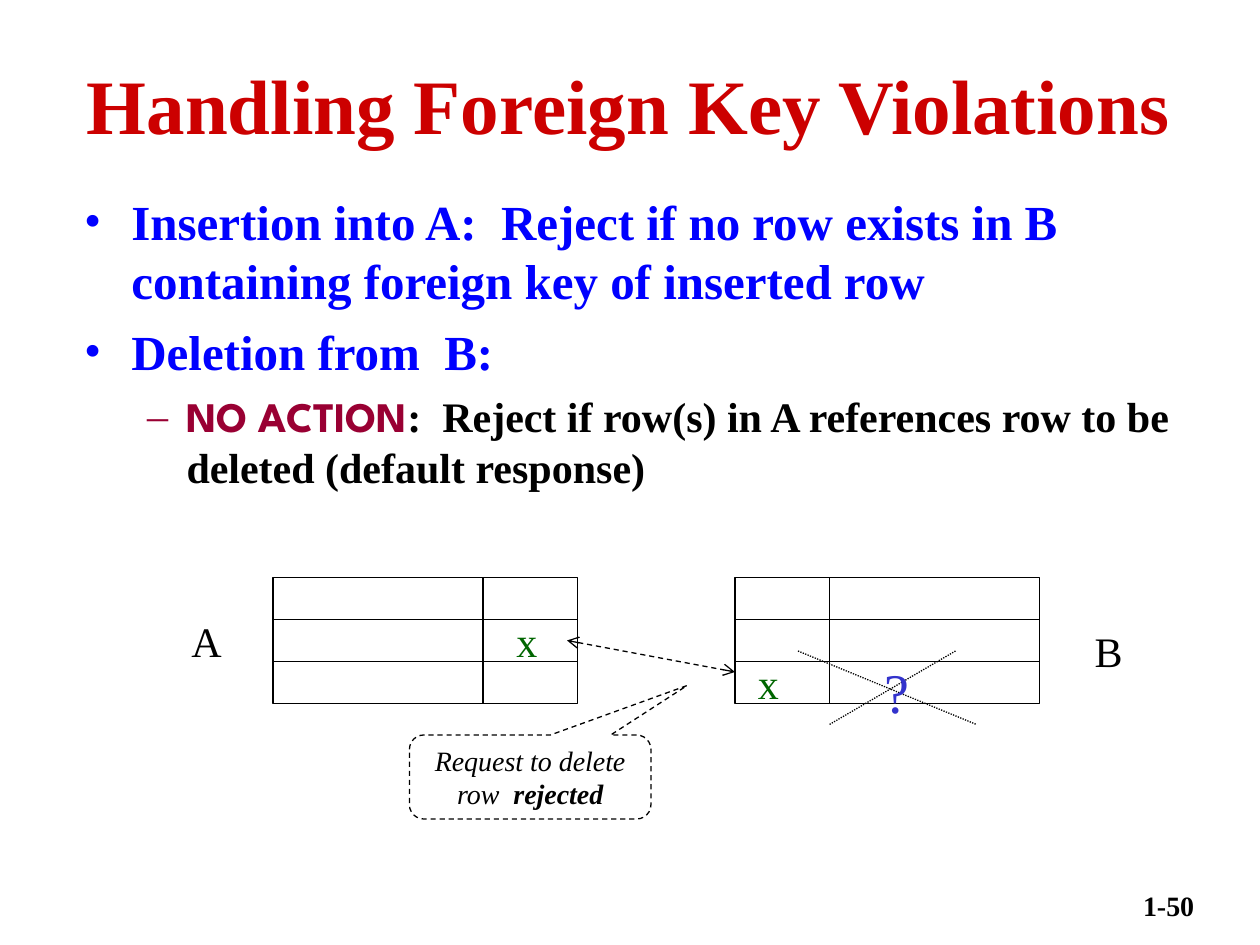
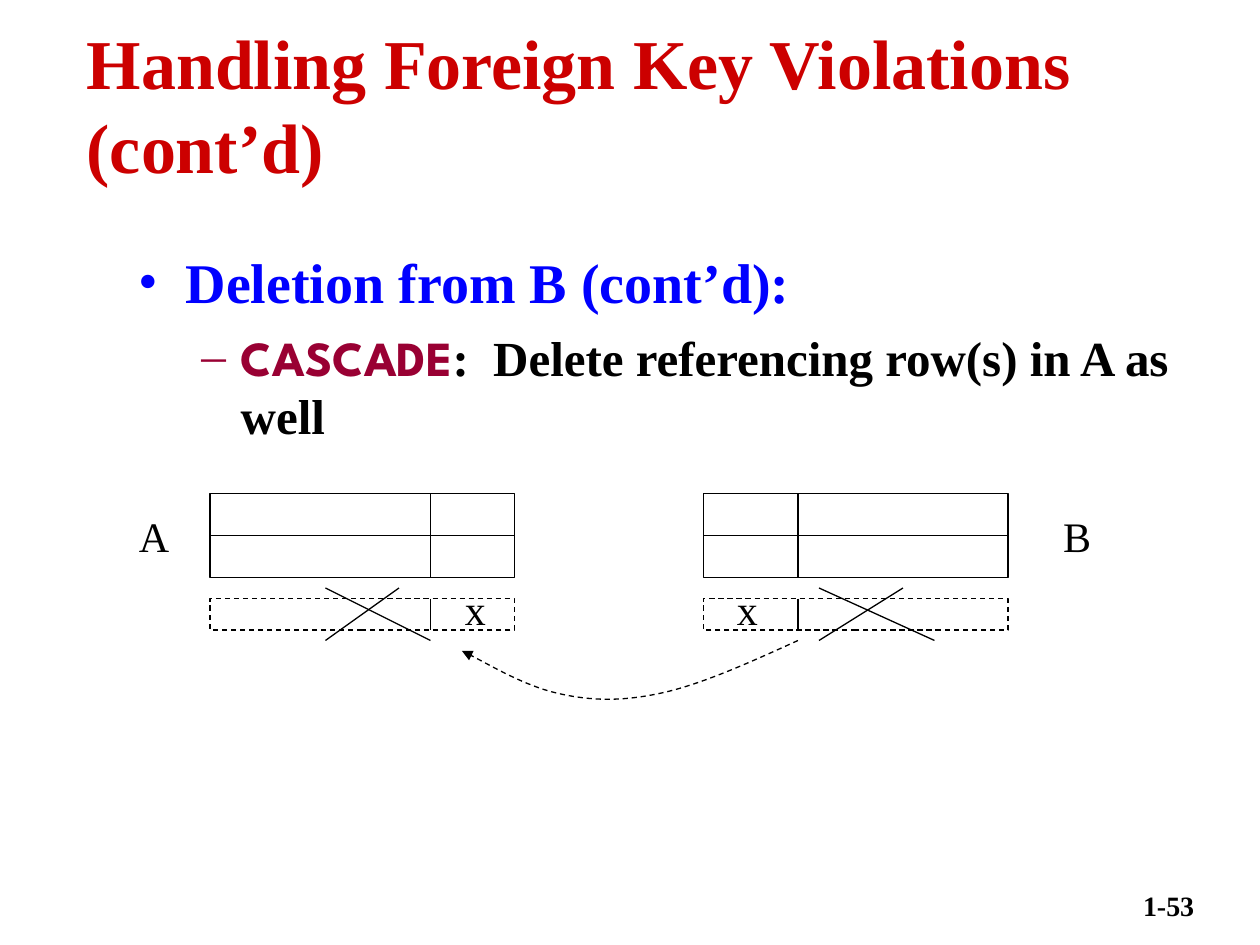
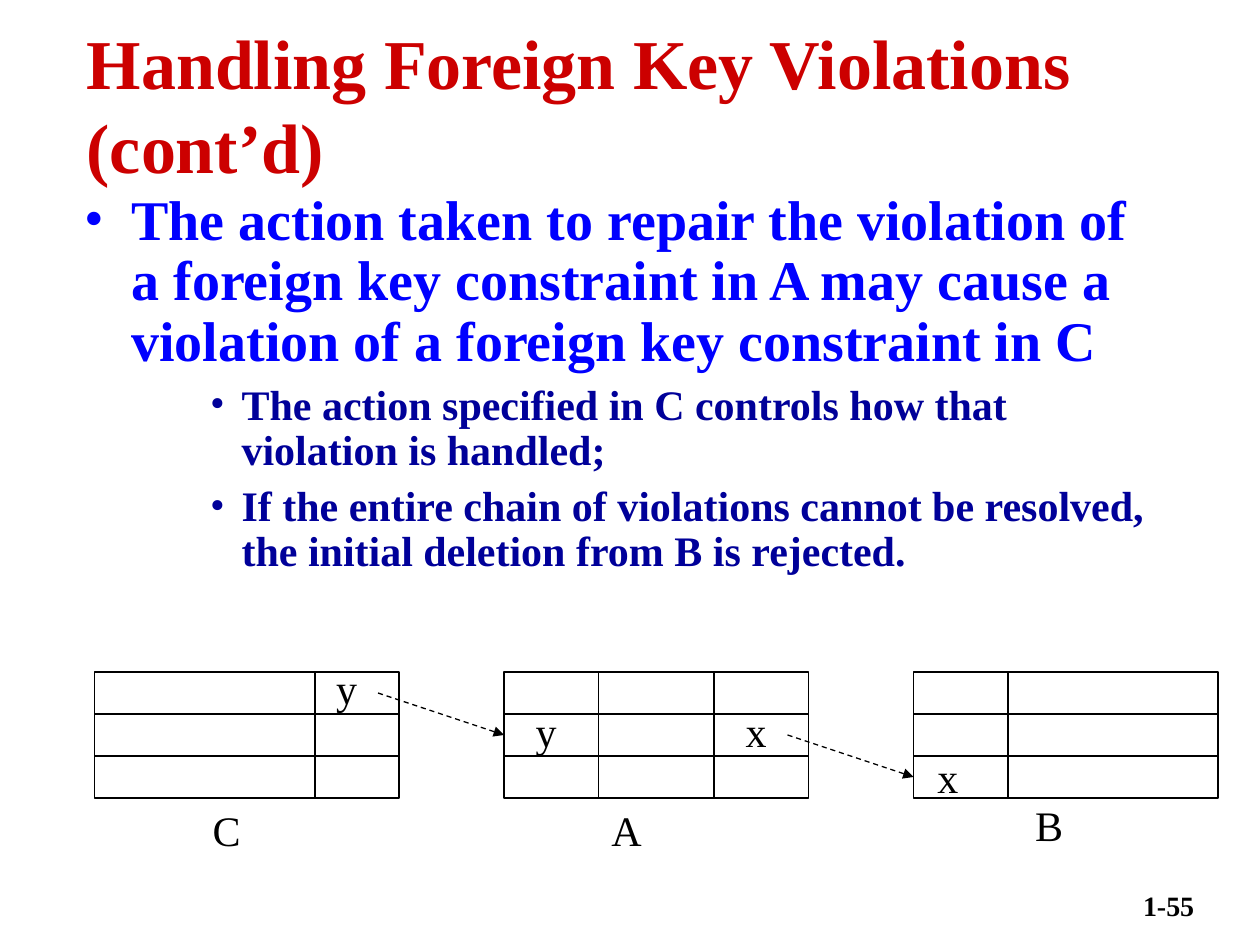
from lxml import etree
from pptx import Presentation
from pptx.dml.color import RGBColor
from pptx.enum.dml import MSO_LINE
from pptx.enum.shapes import MSO_CONNECTOR, MSO_SHAPE
from pptx.enum.text import MSO_ANCHOR, MSO_AUTO_SIZE, PP_ALIGN
from pptx.oxml.ns import qn
from pptx.util import Pt

LEFT, CENTER, RIGHT = PP_ALIGN.LEFT, PP_ALIGN.CENTER, PP_ALIGN.RIGHT
TOP, MIDDLE = MSO_ANCHOR.TOP, MSO_ANCHOR.MIDDLE
FIT_SHAPE = MSO_AUTO_SIZE.SHAPE_TO_FIT_TEXT
DASH, DOT = MSO_LINE.DASH, MSO_LINE.ROUND_DOT
STRAIGHT = MSO_CONNECTOR.STRAIGHT
RECTANGLE = MSO_SHAPE.RECTANGLE
CALLOUT = MSO_SHAPE.ROUNDED_RECTANGULAR_CALLOUT

SERIF, SANS = "Times New Roman", "League Spartan"
BLACK, WHITE, RED, BLUE = "000000", "FFFFFF", "CC0000", "0000FF"
NAVY, MAROON, GREEN, VIOLET = "000099", "990033", "006600", "3333CC"

# Shared places and styles: left, top, width, height
FOOTER_BOX = (620.5, 504, 69, 36)
TABLE_WIDTH, ROW_HEIGHT = 174, 24
MARK_SIZE = 24
MARK_WIDTHS = {"x": 26, "y": 26, "A": 32, "B": 30, "C": 30, "?": 29}
# Bullet levels: margin, indent, bullet, colour
LEVELS = [(27, -27, "•", BLUE), (58.5, -22.5, "–", MAROON), (90, -18, "•", NAVY)]

# Body paragraphs: level, size, space before, [(text, font, colour)]
# Tables: left, top, rows, column dividers from the left edge
# Lines: start, end, dash, arrowhead at start, arrowhead at end
# Marks: text, left, top, size, colour
SLIDES = [
    {
        "title": "Handling Foreign Key Violations",
        "title_size": 44,
        "title_box": (42.5, 38, 641.5, 43),
        "page": "1-50",
        "body_box": (41, 106, 641.5, 214.5),
        "line_spacing": 1.0,
        "body": [
            (0, 28, 0, [("Insertion into A:  Reject if no row exists in B containing "
                         "foreign key of inserted row", SERIF, BLUE)]),
            (0, 28, 7, [("Deletion from  B:", SERIF, BLUE)]),
            (1, 24, 6, [("NO ACTION", SANS, MAROON),
                        (":  Reject if row(s) in A references row to be deleted "
                         "(default response)", SERIF, BLACK)]),
        ],
        "tables": [(156, 330, 3, [120]), (420, 330, 3, [54])],
        "lines": [
            ((324, 366), (420, 384), DASH, "arrow", "arrow"),
            ((456, 372), (558, 414), DOT, None, None),
            ((546, 372), (474, 414), DOT, None, None),
        ],
        "marks": [
            ("x", 288, 348, MARK_SIZE, GREEN), ("x", 426, 372, MARK_SIZE, GREEN),
            ("A", 102, 348, MARK_SIZE, BLACK), ("B", 618.5, 354, MARK_SIZE, BLACK),
            ("?", 498, 372, 32, VIOLET),
        ],
        "callout": ("Request to delete row  ", "rejected"),
    },
    {
        "title": "Handling Foreign Key Violations (cont’d)",
        "title_size": 40,
        "title_box": (42.5, 30, 641.5, 58.5),
        "page": "1-53",
        "body_box": (72, 138, 618, 354),
        "line_spacing": 1.0,
        "body": [
            (0, 32, 0, [("Deletion from B (cont’d):", SERIF, BLUE)]),
            (1, 28, 7, [("CASCADE", SANS, MAROON),
                        (":  Delete referencing row(s) in A as well", SERIF, BLACK)]),
        ],
        "tables": [(120, 282, 2, [126]), (402, 282, 2, [54])],
        "deleted_rows": [(120, 342, [126]), (402, 342, [54])],
        "lines": [
            ((468, 336), (534, 366), None, None, None),
            ((516, 336), (468, 366), None, None, None),
            ((186, 336), (246, 366), None, None, None),
            ((228, 336), (186, 366), None, None, None),
        ],
        "curve": [(456, 366), (428.5, 378.5), (401, 391), (378, 396), (355, 401),
                  (337, 400.5), (318, 396), (299, 391.5), (273, 376), (264, 372)],
        "marks": [
            ("A", 72, 288, MARK_SIZE, BLACK), ("B", 600.5, 288, MARK_SIZE, BLACK),
            ("x", 258.5, 330, MARK_SIZE, BLACK), ("x", 414, 330, MARK_SIZE, BLACK),
        ],
    },
    {
        "title": "Handling Foreign Key Violations (cont’d)",
        "title_size": 40,
        "title_box": (42.5, 30, 641.5, 58.5),
        "page": "1-55",
        "body_box": (41, 106, 628.5, 283.5),
        "line_spacing": 0.9,
        "body": [
            (0, 32, 0, [("The action taken to repair the violation of a foreign key "
                         "constraint in A may cause a violation of a foreign key "
                         "constraint in C", SERIF, BLUE)]),
            (2, 24, 6, [("The action specified in C controls how that violation is "
                         "handled;", SERIF, NAVY)]),
            (2, 24, 6, [("If the entire chain of violations cannot be resolved, the "
                         "initial deletion from B is rejected.", SERIF, NAVY)]),
        ],
        "tables": [(54, 384, 3, [126]), (288, 384, 3, [54, 120]), (522, 384, 3, [54])],
        "lines": [
            ((216, 396), (288, 420), DASH, None, "triangle"),
            ((450, 420), (522, 444), DASH, None, "triangle"),
        ],
        "marks": [
            ("x", 528.5, 426, MARK_SIZE, BLACK), ("x", 419, 399.5, MARK_SIZE, BLACK),
            ("y", 299, 399.5, MARK_SIZE, BLACK), ("y", 185, 375, MARK_SIZE, BLACK),
            ("C", 114.5, 456, MARK_SIZE, BLACK), ("A", 342, 456, MARK_SIZE, BLACK),
            ("B", 584.5, 453.5, MARK_SIZE, BLACK),
        ],
    },
]


def color(hex_code):
    return RGBColor.from_string(hex_code)


def points(*values):
    return [Pt(value) for value in values]


def add_span(para, text, size, hex_code=BLACK, font=SERIF, bold=False, italic=False):
    span = para.add_run()
    span.text = text
    span.font.name, span.font.size = font, Pt(size)
    span.font.bold, span.font.italic = bold, italic
    span.font.color.rgb = color(hex_code)


def add_box(page, place, align=LEFT, anchor=TOP, wrap=True):
    frame = page.shapes.add_textbox(*points(*place)).text_frame
    frame.word_wrap = wrap
    frame.vertical_anchor = anchor
    frame.paragraphs[0].alignment = align
    return frame


def style_line(shape, dash=None, head=None, tail=None):
    shape.line.color.rgb = color(BLACK)
    shape.line.width = Pt(0.75)
    if dash:
        shape.line.dash_style = dash
    for tag, kind in (("a:headEnd", head), ("a:tailEnd", tail)):
        if kind:
            etree.SubElement(shape.line._get_or_add_ln(), qn(tag), type=kind)


def add_line(page, start, end, dash=None, head=None, tail=None):
    line = page.shapes.add_connector(STRAIGHT, *points(*start, *end))
    style_line(line, dash, head, tail)
    etree.SubElement(line._element.spPr, qn("a:effectLst"))


def add_outline(page, kind, place, dash=None):
    shape = page.shapes.add_shape(kind, *points(*place))
    shape.shadow.inherit = False
    shape.fill.solid()
    shape.fill.fore_color.rgb = color(WHITE)
    style_line(shape, dash)
    return shape


def add_grid(page, left, top, rows, dividers, row_height=ROW_HEIGHT, dash=None):
    height = rows * row_height
    add_outline(page, RECTANGLE, (left, top, TABLE_WIDTH, height), dash)
    for row in range(1, rows):
        y = top + row * row_height
        add_line(page, (left, y), (left + TABLE_WIDTH, y))
    for offset in dividers:
        add_line(page, (left + offset, top), (left + offset, top + height))


def add_curve(page, nodes):
    start, *rest = [tuple(points(*node)) for node in nodes]
    builder = page.shapes.build_freeform(*start)
    builder.add_line_segments(rest, close=False)
    shape = builder.convert_to_shape()
    shape.shadow.inherit = False
    shape.fill.background()
    style_line(shape, DASH, tail="triangle")
    # Every three straight segments become one Bezier segment
    segments = list(shape._element.iter(qn("a:lnTo")))
    for first in range(0, len(segments), 3):
        bezier = etree.Element(qn("a:cubicBezTo"))
        segments[first].addprevious(bezier)
        for segment in segments[first:first + 3]:
            bezier.append(segment[0])
            segment.getparent().remove(segment)


def set_bullet(para, level):
    margin, indent, bullet, hex_code = LEVELS[level]
    para.level = level
    props = para._p.get_or_add_pPr()
    props.set("marL", str(Pt(margin)))
    props.set("indent", str(Pt(indent)))
    fill = etree.SubElement(props, qn("a:buClr"))
    etree.SubElement(fill, qn("a:srgbClr"), val=hex_code)
    etree.SubElement(props, qn("a:buFont"), typeface=SERIF)
    etree.SubElement(props, qn("a:buChar"), char=bullet)


def add_body(page, place, items, line_spacing):
    frame = add_box(page, place)
    for index, (level, size, before, spans) in enumerate(items):
        para = frame.add_paragraph() if index else frame.paragraphs[0]
        set_bullet(para, level)
        para.line_spacing = line_spacing
        para.space_before = Pt(before)
        for text, font, hex_code in spans:
            add_span(para, text, size, hex_code, font, bold=True)


def add_mark(page, text, left, top, size, hex_code):
    place = (left, top, MARK_WIDTHS[text], size * 1.2 + 7.2)
    frame = add_box(page, place, CENTER, wrap=False)
    frame.auto_size = FIT_SHAPE
    add_span(frame.paragraphs[0], text, size, hex_code)


def add_callout(page, request, outcome):
    shape = add_outline(page, CALLOUT, (234, 420, 138, 48), DASH)
    for index, value in enumerate((0.65, -1.09, 0.17)):
        shape.adjustments[index] = value
    frame = shape.text_frame
    frame.word_wrap = True
    frame.vertical_anchor = MIDDLE
    para = frame.paragraphs[0]
    para.alignment = CENTER
    add_span(para, request, 16, italic=True)
    add_span(para, outcome, 16, bold=True, italic=True)


def add_page(deck, content):
    page = deck.slides.add_slide(deck.slide_layouts[6])
    # Footer, title and body
    footer = add_box(page, FOOTER_BOX, RIGHT)
    add_span(footer.paragraphs[0], content["page"], 16, bold=True)
    title = add_box(page, content["title_box"], anchor=MIDDLE)
    add_span(title.paragraphs[0], content["title"], content["title_size"], RED, bold=True)
    add_body(page, content["body_box"], content["body"], content["line_spacing"])
    # Diagram
    for table in content["tables"]:
        add_grid(page, *table)
    for left, top, dividers in content.get("deleted_rows", []):
        add_grid(page, left, top, 1, dividers, row_height=18, dash=DASH)
    for line in content["lines"]:
        add_line(page, *line)
    if "curve" in content:
        add_curve(page, content["curve"])
    for mark in content["marks"]:
        add_mark(page, *mark)
    if "callout" in content:
        add_callout(page, *content["callout"])


def main():
    deck = Presentation()
    deck.slide_width, deck.slide_height = points(720, 540)
    for content in SLIDES:
        add_page(deck, content)
    deck.save("out.pptx")


if __name__ == "__main__":
    main()
